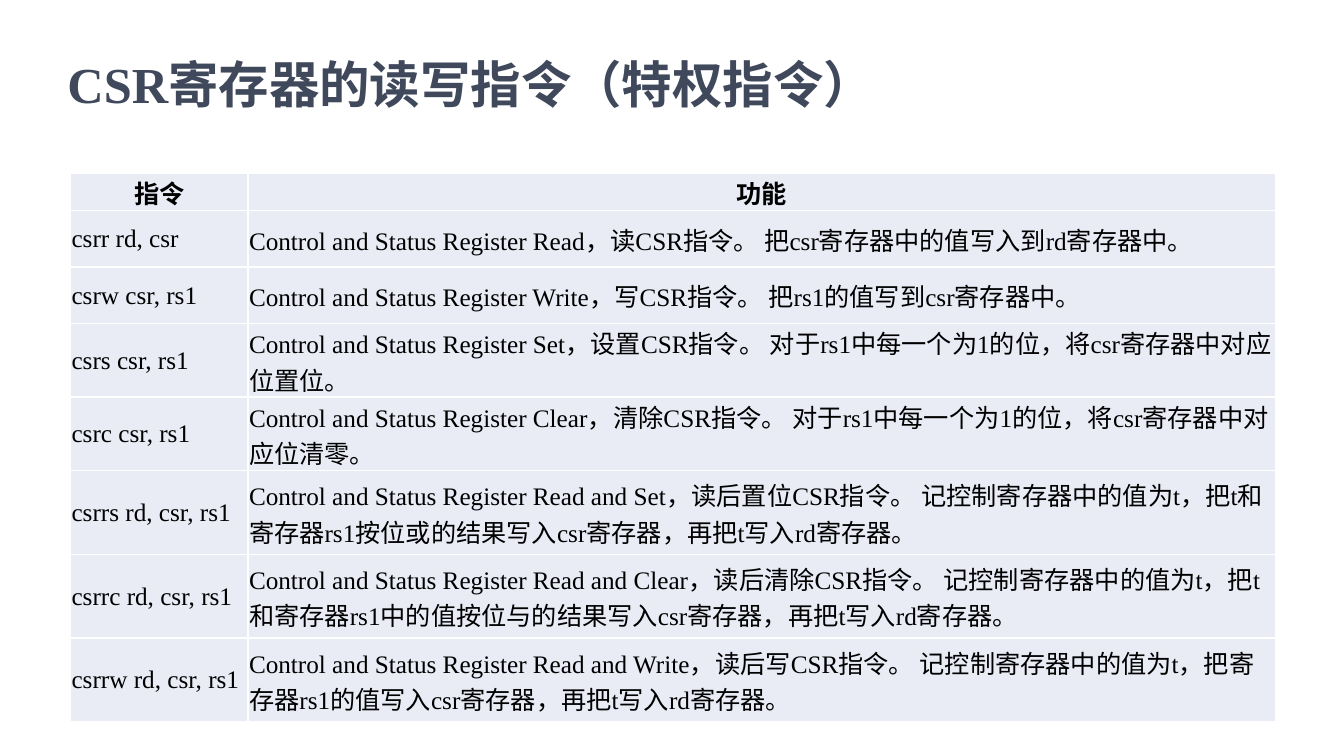
"""Build a slide with a table of CSR read and write instructions."""
from dataclasses import dataclass

from lxml import etree
from pptx import Presentation
from pptx import util as u
from pptx.dml.color import RGBColor
from pptx.enum import text
from pptx.oxml.ns import qn

PX = u.Inches(1) // 100


@dataclass(frozen=True)
class Theme:
    """Colours, fonts and type sizes of the slide."""

    title: str = "40485B"
    ink: str = "000000"
    cell: str = "E9EBF5"
    border: str = "FFFFFF"
    serif: str = "Times New Roman"
    sans: str = "Arial"
    title_size: int = 36
    body_size: int = 18
    border_width: int = 1


THEME = Theme()
SLIDE_SIZE = (1333, 750)
TITLE_BOX = (57, 37, 1150, 98)
TABLE_BOX = (70, 172, 1195, 544)
COLUMNS = (176, 1019)
ROW_HEIGHTS = (37,) + (56,) * 2 + (73,) * 2 + (83,) * 3
TITLE_RUNS = (("CSR寄存器", THEME.serif), ("的读写指令（特权指令）", THEME.sans))
ROWS = (
    ("指令", "功能"),
    ("csrr rd, csr",
     "Control and Status Register Read，读CSR指令。 把csr寄存器中的值写入到rd寄存器中。"),
    ("csrw csr, rs1",
     "Control and Status Register Write，写CSR指令。 把rs1的值写到csr寄存器中。"),
    ("csrs csr, rs1",
     "Control and Status Register Set，设置CSR指令。 "
     "对于rs1中每一个为1的位，将csr寄存器中对应位置位。"),
    ("csrc csr, rs1",
     "Control and Status Register Clear，清除CSR指令。 "
     "对于rs1中每一个为1的位，将csr寄存器中对应位清零。"),
    ("csrrs rd, csr, rs1",
     "Control and Status Register Read and Set，读后置位CSR指令。 "
     "记控制寄存器中的值为t，把t和寄存器rs1按位或的结果写入csr寄存器，再把t写入rd寄存器。"),
    ("csrrc rd, csr, rs1",
     "Control and Status Register Read and Clear，读后清除CSR指令。 "
     "记控制寄存器中的值为t，把t和寄存器rs1中的值按位与的结果写入csr寄存器，再把t写入rd寄存器。"),
    ("csrrw rd, csr, rs1",
     "Control and Status Register Read and Write，读后写CSR指令。 "
     "记控制寄存器中的值为t，把寄存器rs1的值写入csr寄存器，再把t写入rd寄存器。"),
)


def px(*lengths):
    """Turn pixel lengths into EMU."""
    return [u.Emu(length * PX) for length in lengths]


def apply(target, **values):
    """Set each named attribute on the target."""
    for name, value in values.items():
        setattr(target, name, value)


def add_run(p, content, color, **font):
    """Add one formatted run to a paragraph."""
    r = p.add_run()
    r.text = content
    apply(r.font, **font)
    r.font.color.rgb = RGBColor.from_string(color)


def add_borders(cell):
    """Draw a thin line on all four sides of a cell."""
    for side in "LRTB":
        ln = etree.SubElement(cell._tc.get_or_add_tcPr(), qn(f"a:ln{side}"),
                              w=str(u.Pt(THEME.border_width)))
        fill = etree.SubElement(ln, qn("a:solidFill"))
        etree.SubElement(fill, qn("a:srgbClr"), val=THEME.border)


def add_title(s, box):
    """Place the slide title in its box."""
    tf = s.shapes.add_textbox(*px(*box)).text_frame
    apply(tf, word_wrap=True, vertical_anchor=text.MSO_ANCHOR.MIDDLE)
    p = tf.paragraphs[0]
    p.line_spacing = 0.9
    for content, font in TITLE_RUNS:
        add_run(p, content, THEME.title, name=font, size=u.Pt(THEME.title_size), bold=True)


def fill_cell(cell, content, header):
    """Write and format one table cell."""
    inset, = px(1)
    apply(cell, vertical_anchor=text.MSO_ANCHOR.MIDDLE, margin_left=inset,
          margin_right=inset, margin_top=inset, margin_bottom=0)
    add_borders(cell)
    cell.fill.solid()
    cell.fill.fore_color.rgb = RGBColor.from_string(THEME.cell)
    p = cell.text_frame.paragraphs[0]
    p.alignment = text.PP_ALIGN.CENTER if header else text.PP_ALIGN.LEFT
    add_run(p, content, THEME.ink, name=THEME.serif, size=u.Pt(THEME.body_size), bold=header)


def add_instruction_table(s, box):
    """Place the instruction table in its box."""
    table = s.shapes.add_table(len(ROWS), len(COLUMNS), *px(*box)).table
    for column, width in zip(table.columns, px(*COLUMNS)):
        column.width = width
    for row, height in zip(table.rows, px(*ROW_HEIGHTS)):
        row.height = height
    for i, contents in enumerate(ROWS):
        for j, content in enumerate(contents):
            fill_cell(table.cell(i, j), content, header=i == 0)


def main():
    """Build and save the presentation."""
    prs = Presentation()
    prs.slide_width, prs.slide_height = px(*SLIDE_SIZE)
    s = prs.slides.add_slide(prs.slide_layouts[6])
    add_title(s, TITLE_BOX)
    add_instruction_table(s, TABLE_BOX)
    prs.save("out.pptx")


if __name__ == "__main__":
    main()
